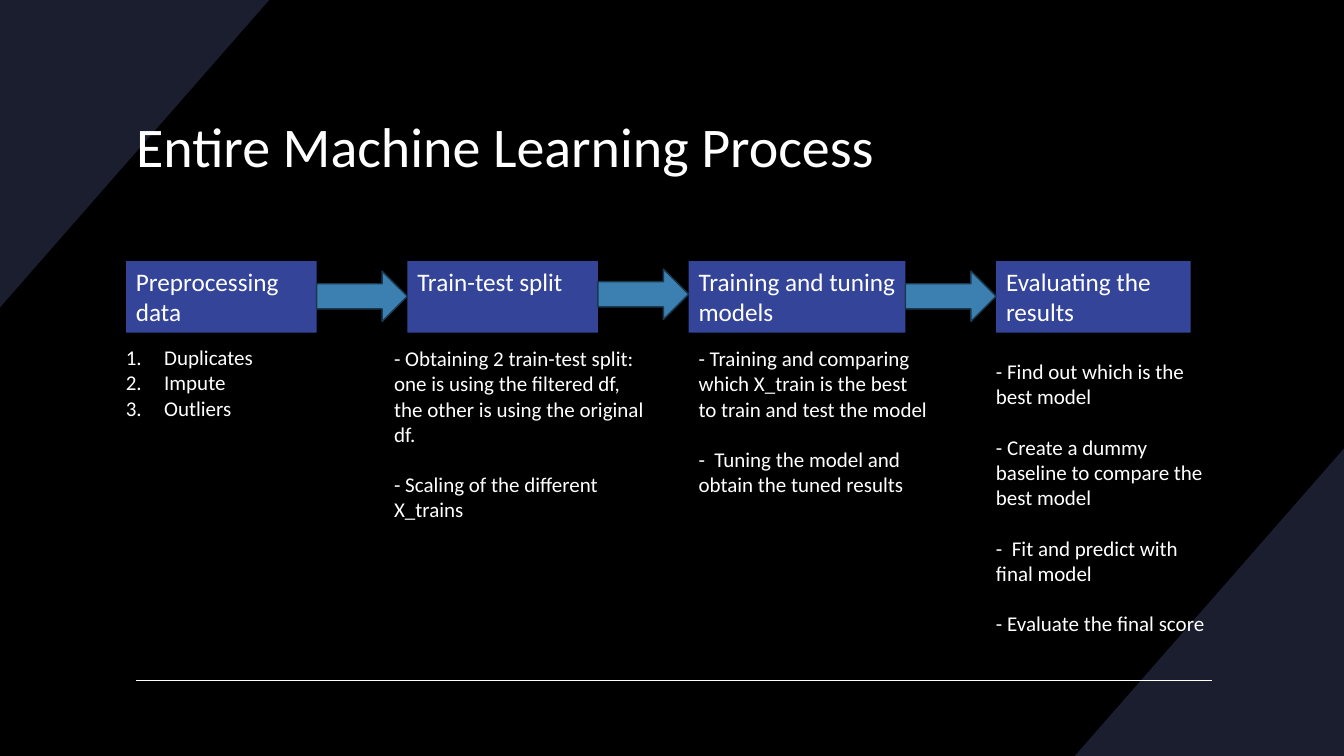
from lxml import etree
from pptx import Presentation
from pptx.dml.color import RGBColor
from pptx.enum.shapes import MSO_CONNECTOR, MSO_SHAPE
from pptx.enum.text import MSO_ANCHOR, PP_ALIGN
from pptx.oxml.ns import qn
from pptx.util import Inches, Pt

COLORS = {"background": "000000", "corner": "1A1E2F", "text": "FFFFFF",
          "step": "334499", "arrow": "3B80B1", "arrow_edge": "1A384E"}
FONT = "Calibri"
TITLE = "Entire Machine Learning Process"
STEPS = [
    {"name": "Preprocessing data", "left": 1.25, "width": 1.89,
     "notes_at": (1.15, 3.37, 2.09, 1.16), "numbered": True,
     "notes": ["Duplicates", "Impute", "Outliers"]},
    {"name": "Train-test split", "left": 4.04, "width": 1.89,
     "notes_at": (3.81, 3.38, 2.75, 1.87), "numbered": False,
     "notes": ["- Obtaining 2 train-test split: one is using the filtered df, "
               "the other is using the original df.",
               "- Scaling of the different X_trains"]},
    {"name": "Training and tuning models", "left": 6.83, "width": 2.15,
     "notes_at": (6.83, 3.38, 2.47, 1.87), "numbered": False,
     "notes": ["- Training and comparing which X_train is the best to train and test the model",
               "-  Tuning the model and obtain the tuned results"]},
    {"name": "Evaluating the results", "left": 9.88, "width": 1.93,
     "notes_at": (9.78, 3.51, 2.3, 3.13), "numbered": False,
     "notes": ["- Find out which is the best model",
               "- Create a dummy baseline to compare the best model",
               "-  Fit and predict with final model",
               "- Evaluate the final score"]},
]
STEP_TOP, STEP_HEIGHT = 2.59, 0.71
ARROW_TOPS, ARROW_HEIGHT = [2.69, 2.67, 2.69], 0.5
SLIDE_W, SLIDE_H = 13.33, 7.5
CORNER_W, CORNER_H = 2.67, 3.05
CORNERS = [
    [(SLIDE_W, SLIDE_H - CORNER_H), (SLIDE_W, SLIDE_H), (SLIDE_W - CORNER_W, SLIDE_H)],
    [(0, CORNER_H), (0, 0), (CORNER_W, 0)],
]


def rgb(name):
    return RGBColor.from_string(COLORS[name])


def paint(shape, fill, edge=None):
    shape.shadow.inherit = False
    shape.fill.solid()
    shape.fill.fore_color.rgb = rgb(fill)
    if edge:
        shape.line.color.rgb = rgb(edge)
        shape.line.width = Pt(1)
    else:
        shape.line.fill.background()


def write(frame, lines, size, anchor=MSO_ANCHOR.TOP):
    frame.word_wrap = True
    frame.vertical_anchor = anchor
    for index, line in enumerate(lines):
        paragraph = frame.add_paragraph() if index else frame.paragraphs[0]
        paragraph.text = line
        paragraph.alignment = PP_ALIGN.LEFT
        paragraph.font.name = FONT
        paragraph.font.size = Pt(size)
        paragraph.font.color.rgb = rgb("text")


def number(paragraph):
    properties = paragraph._p.get_or_add_pPr()
    properties.set("marL", str(Inches(0.38)))
    properties.set("indent", str(Inches(-0.38)))
    bullet = etree.Element(qn("a:buAutoNum"), type="arabicPeriod")
    properties.insert_element_before(bullet, "a:tabLst", "a:defRPr", "a:extLst")


def add_backdrop(slide):
    slide.background.fill.solid()
    slide.background.fill.fore_color.rgb = rgb("background")
    for corner in CORNERS:
        start, *rest = [(Inches(x), Inches(y)) for x, y in corner]
        outline = slide.shapes.build_freeform(*start)
        outline.add_line_segments(rest, close=True)
        paint(outline.convert_to_shape(), "corner")
    rule = slide.shapes.add_connector(
        MSO_CONNECTOR.STRAIGHT, Inches(1.35), Inches(6.75), Inches(12.02), Inches(6.75))
    rule.line.color.rgb = rgb("text")
    rule.line.width = Pt(1)
    etree.SubElement(rule._element.spPr, qn("a:effectLst"))


def add_title(slide):
    title = slide.shapes.title
    title.left, title.top = Inches(1.25), Inches(0.95)
    title.width, title.height = Inches(10.83), Inches(0.98)
    write(title.text_frame, [TITLE], 40, MSO_ANCHOR.MIDDLE)
    slide.shapes.element.append(title.element)


def add_step(slide, step):
    box = slide.shapes.add_shape(
        MSO_SHAPE.RECTANGLE, Inches(step["left"]), Inches(STEP_TOP),
        Inches(step["width"]), Inches(STEP_HEIGHT))
    paint(box, "step")
    write(box.text_frame, [step["name"]], 18)

    notes = slide.shapes.add_textbox(*map(Inches, step["notes_at"])).text_frame
    write(notes, step["notes"], 15)
    for paragraph in notes.paragraphs:
        if step["numbered"]:
            number(paragraph)
        elif paragraph.text != step["notes"][-1]:
            paragraph.space_after = Pt(18)


def add_arrow(slide, before, after, top):
    left = before["left"] + before["width"]
    arrow = slide.shapes.add_shape(
        MSO_SHAPE.RIGHT_ARROW, Inches(left), Inches(top),
        Inches(after["left"] - left), Inches(ARROW_HEIGHT))
    paint(arrow, "arrow", "arrow_edge")


def main():
    deck = Presentation()
    deck.slide_width, deck.slide_height = Inches(SLIDE_W), Inches(SLIDE_H)
    slide = deck.slides.add_slide(deck.slide_layouts[5])
    add_backdrop(slide)
    add_title(slide)
    for step in STEPS:
        add_step(slide, step)
    for before, after, top in zip(STEPS, STEPS[1:], ARROW_TOPS):
        add_arrow(slide, before, after, top)
    deck.save("out.pptx")


if __name__ == "__main__":
    main()
